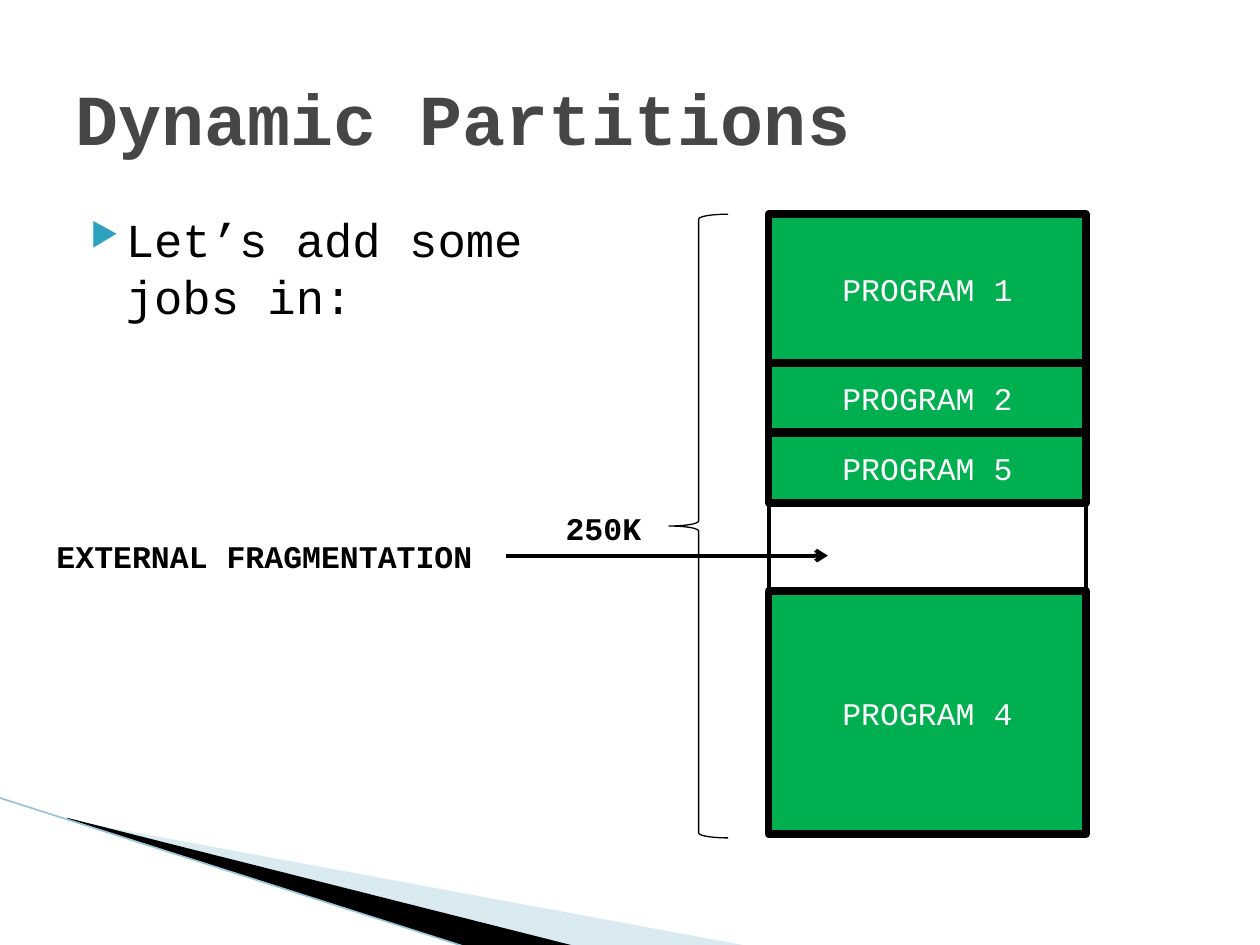
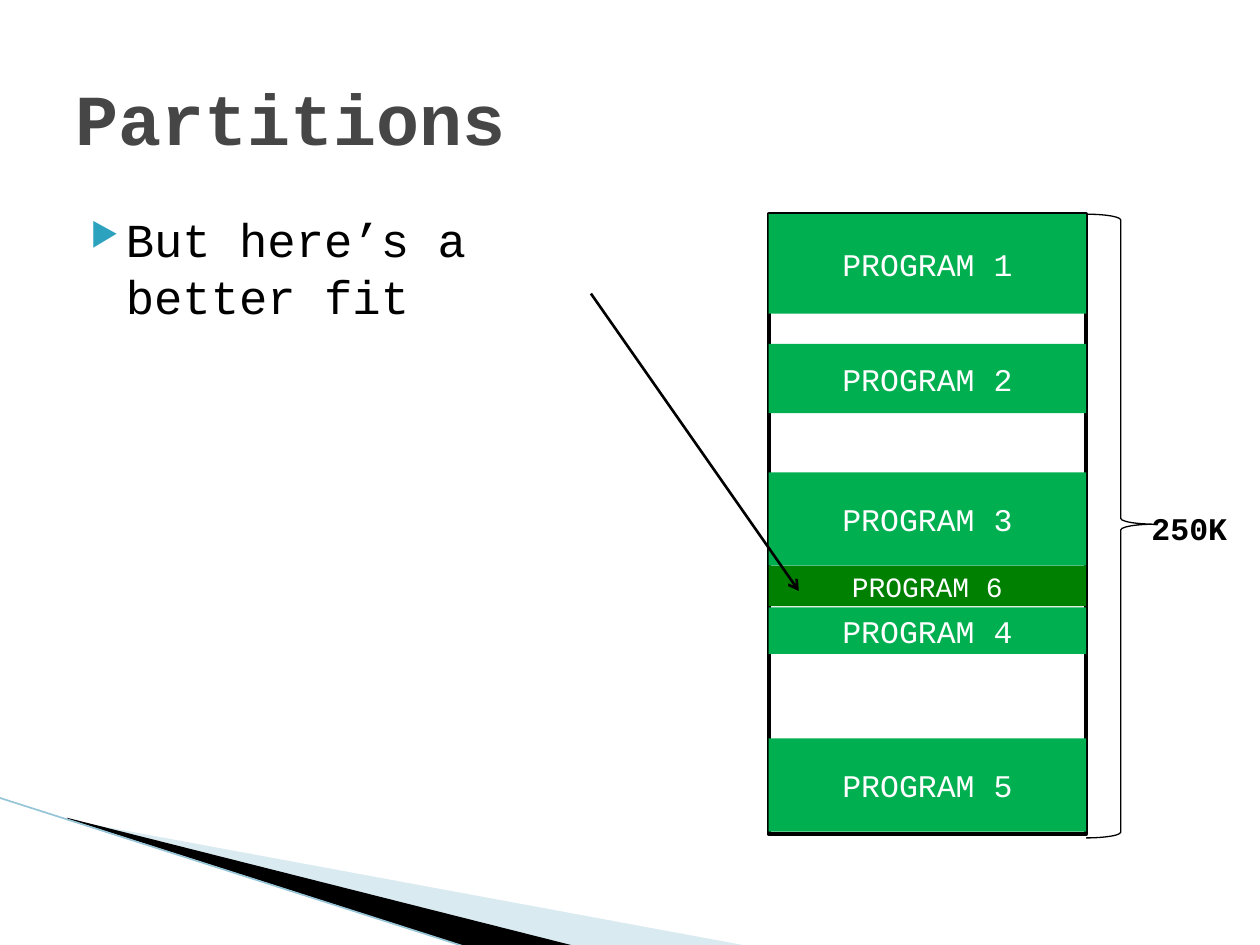
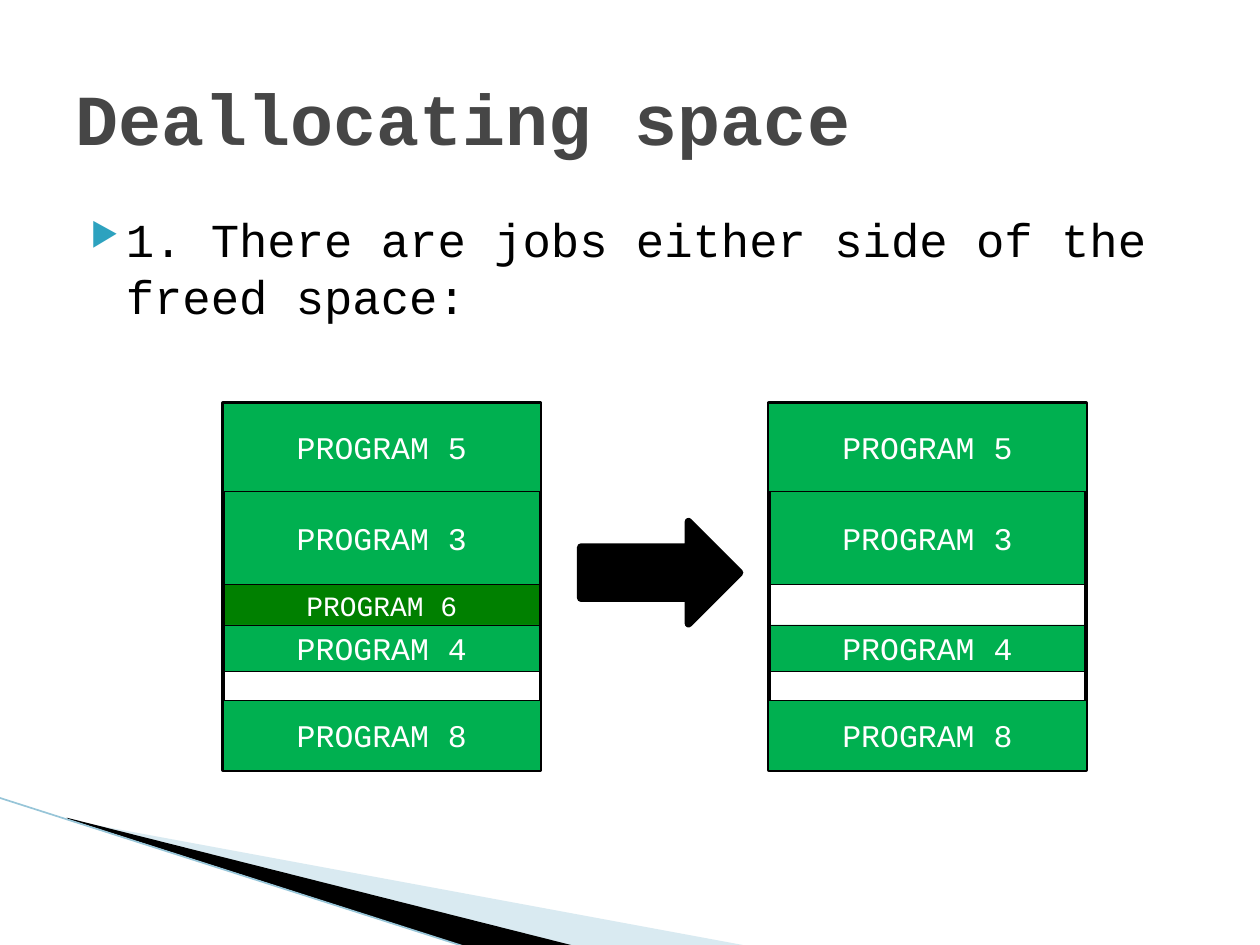
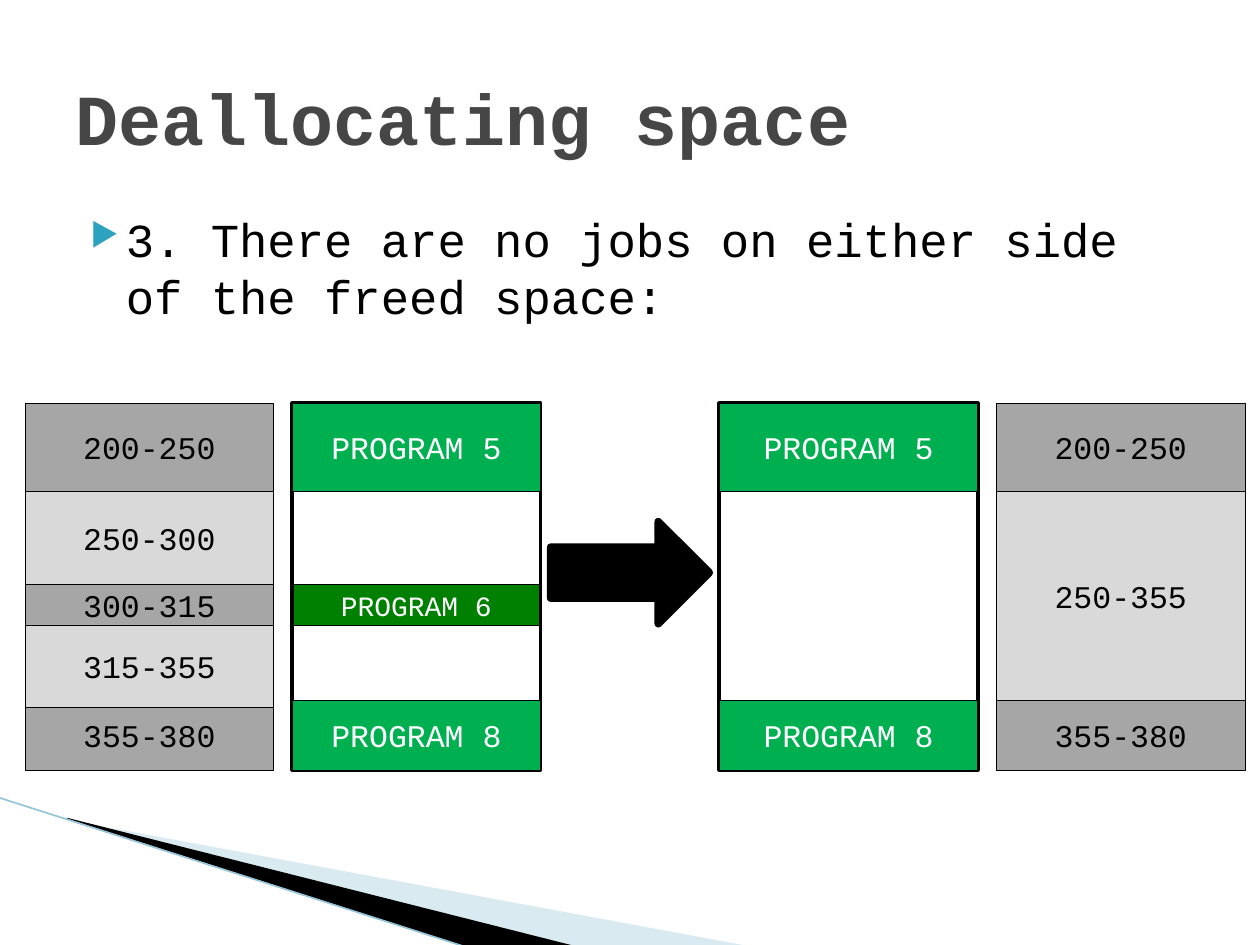
from dataclasses import dataclass

from lxml import etree
from pptx import Presentation
from pptx import util as u
from pptx.dml import color
from pptx.enum import shapes, text
from pptx.oxml import ns

FONT = "Courier New"
COLORS = {
    "white": "FFFFFF",
    "black": "000000",
    "title": "464646",
    "bullet": "2DA2BF",
    "pale_band": "A0CBDC",
    "band_edge": "97C5D8",
    "job": "00B050",
    "new_job": "008000",
    "used": "A6A6A6",
    "free": "D9D9D9",
}
THICK, FRAME, THIN, HAIR = 4.33, 2.25, 0.75, 0.25
MEMORY_LEFT, MEMORY_WIDTH = 6.1, 2.52
MEMORY_TOP, ZONE_TOP = 1.7, 3.2
MEMORY_HEIGHT, ZONE_HEIGHT = 4.92, 2.91


@dataclass(frozen=True)
class Block:
    label: str
    height: float
    kind: str = "job"
    behind: bool = False


@dataclass(frozen=True)
class Stack:
    left: float
    top: float
    width: float
    blocks: tuple[Block, ...]
    border: float = 0
    frame_height: float = 0


def gap(height: float) -> Block:
    return Block("", height)


def rgb(name: str) -> color.RGBColor:
    return color.RGBColor.from_string(COLORS[name])


def add_xml(parent, tag: str, **attributes: str):
    return etree.SubElement(parent, ns.qn(tag), attributes)


def paint(shape, fill: str = "", line: str = "", width: float = 0) -> None:
    shape.shadow.inherit = False
    if fill:
        shape.fill.solid()
        shape.fill.fore_color.rgb = rgb(fill)
    else:
        shape.fill.background()
    if line and width:
        shape.line.color.rgb = rgb(line)
        shape.line.width = u.Pt(width)
    else:
        shape.line.fill.background()


def write(frame, words: str, *, size: float = 18, ink: str = "black", bold: bool = False,
          align=text.PP_ALIGN.LEFT, anchor=text.MSO_ANCHOR.TOP, wrap: bool = True):
    frame.word_wrap = wrap
    frame.vertical_anchor = anchor
    para = frame.paragraphs[0]
    para.alignment = align
    span = para.add_run()
    span.text = words
    span.font.name = FONT
    span.font.size = u.Pt(size)
    span.font.bold = bold
    span.font.color.rgb = rgb(ink)
    return para


def add_text(page, words: str, left: float, top: float, width: float, height: float, **style):
    box = page.shapes.add_textbox(*map(u.Inches, (left, top, width, height)))
    return box, write(box.text_frame, words, **style)


def add_label(page, words: str, left: float, top: float, width: float) -> None:
    box, _ = add_text(page, words, left, top, width, 0.4, bold=True, wrap=False)
    box.text_frame.auto_size = text.MSO_AUTO_SIZE.SHAPE_TO_FIT_TEXT


def add_preset(page, preset, left: float, top: float, width: float, height: float,
               fill: str = "", line_width: float = 0):
    shape = page.shapes.add_shape(preset, *map(u.Inches, (left, top, width, height)))
    paint(shape, fill, "black", line_width)
    return shape


def add_line(page, start: tuple[float, float], end: tuple[float, float],
             ink: str, width: float, arrow: bool = False) -> None:
    line = page.shapes.add_connector(shapes.MSO_CONNECTOR.STRAIGHT, *map(u.Inches, start + end))
    line.line.color.rgb = rgb(ink)
    line.line.width = u.Pt(width)
    if arrow:
        add_xml(line.line._get_or_add_ln(), "a:tailEnd", type="arrow")
    add_xml(line.element.spPr, "a:effectLst")


def add_band(page, points: list[tuple[float, float]], fill: str, opacity: int = 100) -> None:
    corners = [(u.Inches(x), u.Inches(y)) for x, y in points]
    builder = page.shapes.build_freeform(*corners[0], scale=1.0)
    builder.add_line_segments(corners[1:], close=True)
    band = builder.convert_to_shape()
    paint(band, fill)
    if opacity < 100:
        tone = band.element.spPr.find(".//" + ns.qn("a:srgbClr"))
        add_xml(tone, "a:alpha", val=str(opacity * 1000))


def add_bullet(para) -> None:
    para.space_before = u.Pt(4)
    props = para._p.get_or_add_pPr()
    props.set("marL", str(u.Inches(0.4)))
    props.set("indent", str(u.Inches(-0.28)))
    tone = add_xml(props, "a:buClr")
    add_xml(tone, "a:srgbClr", val=COLORS["bullet"])
    add_xml(props, "a:buSzPct", val="68000")
    add_xml(props, "a:buChar", char="▶")


def add_page(deck, title: str, body: str, body_width: float = 9):
    page = deck.slides.add_slide(deck.slide_layouts[6])
    page.background.fill.solid()
    page.background.fill.fore_color.rgb = rgb("white")
    add_band(page, [(0.55, 6.51), (5.95, 7.51), (4.56, 7.51), (0.55, 6.5)], "pale_band", 40)
    add_band(page, [(0.53, 6.49), (4.57, 7.51), (3.72, 7.52), (0.54, 6.5)], "black")
    add_line(page, (-0.01, 6.33), (3.71, 7.52), "band_edge", 0.95)
    _, para = add_text(page, body, 0.5, 1.62, body_width, 4.95, size=27)
    add_bullet(para)
    add_text(page, title, 0.5, 0.3, 9, 1.25, size=41, ink="title", bold=True,
             anchor=text.MSO_ANCHOR.MIDDLE)
    return page


def add_stack(page, stack: Stack) -> None:
    placed = []
    top = stack.top
    for block in stack.blocks:
        if block.label:
            placed.append((block, top))
        top += block.height

    def draw(behind: bool) -> None:
        for block, block_top in placed:
            if block.behind == behind:
                shape = add_preset(page, shapes.MSO_SHAPE.RECTANGLE, stack.left, block_top,
                                   stack.width, block.height, block.kind, stack.border)
                write(shape.text_frame, block.label,
                      size=16 if block.kind == "new_job" else 18,
                      ink="white" if block.kind in ("job", "new_job") else "black",
                      align=text.PP_ALIGN.CENTER, anchor=text.MSO_ANCHOR.MIDDLE)

    draw(behind=True)
    if stack.frame_height:
        add_preset(page, shapes.MSO_SHAPE.RECTANGLE, stack.left, stack.top,
                   stack.width, stack.frame_height, line_width=FRAME)
    draw(behind=False)


def add_memory(page, blocks: tuple[Block, ...], border: float = 0) -> None:
    add_stack(page, Stack(MEMORY_LEFT, MEMORY_TOP, MEMORY_WIDTH, blocks, border, MEMORY_HEIGHT))


def add_zone(page, left: float, width: float, blocks: tuple[Block, ...],
             framed: bool = True) -> None:
    add_stack(page, Stack(left, ZONE_TOP, width, blocks, HAIR, ZONE_HEIGHT if framed else 0))


def add_brace(page, left: float, width: float):
    return add_preset(page, shapes.MSO_SHAPE.LEFT_BRACE, left, MEMORY_TOP, width, 4.95,
                      line_width=THIN)


def add_block_arrow(page, left: float) -> None:
    add_preset(page, shapes.MSO_SHAPE.RIGHT_ARROW, left, 4.14, 1.26, 0.81, "black", THICK)


def build_dynamic(deck) -> None:
    page = add_page(deck, "Dynamic Partitions", "Let’s add some jobs in:", 4.5)
    add_memory(page, (
        Block("PROGRAM 1", 1.18), Block("PROGRAM 2", 0.55), gap(0.01),
        Block("PROGRAM 5", 0.55), gap(0.7), Block("PROGRAM 4", 1.93),
    ), THICK)
    add_brace(page, 5.31, 0.47)
    add_label(page, "250K", 4.39, 3.99, 0.85)
    add_label(page, "EXTERNAL FRAGMENTATION", 0.35, 4.21, 3.67)
    add_line(page, (4.02, 4.41), (6.57, 4.41), "black", 2.25, arrow=True)


def build_better_fit(deck) -> None:
    page = add_page(deck, "Partitions", "But here’s a better fit", 4.5)
    add_memory(page, (
        Block("PROGRAM 1", 0.79), gap(0.24), Block("PROGRAM 2", 0.55), gap(0.47),
        Block("PROGRAM 3", 0.74), Block("PROGRAM 6", 0.32, "new_job"), gap(0.01),
        Block("PROGRAM 4", 0.37), gap(0.67), Block("PROGRAM 5", 0.74),
    ))
    brace = add_brace(page, 8.62, 0.55)
    brace.adjustments[1] = 0.497
    brace.element.spPr.xfrm.set("flipH", "1")
    add_label(page, "250K", 9.04, 3.99, 0.85)
    add_line(page, (4.69, 2.33), (6.34, 4.69), "black", 1.5, arrow=True)


def build_jobs_beside(deck) -> None:
    page = add_page(deck, "Deallocating space",
                    "1. There are jobs either side of the freed space:")
    freed = Block("PROGRAM 6", 0.32, "new_job", behind=True)
    for left, middle in ((1.77, freed), (MEMORY_LEFT, gap(0.32))):
        add_zone(page, left, MEMORY_WIDTH, (
            Block("PROGRAM 5", 0.7), Block("PROGRAM 3", 0.74, behind=True), middle,
            Block("PROGRAM 4", 0.37, behind=True), gap(0.23), Block("PROGRAM 8", 0.55),
        ))
    add_block_arrow(page, 4.61)


def build_no_jobs_beside(deck) -> None:
    page = add_page(deck, "Deallocating space",
                    "3. There are no jobs on either side of the freed space:")
    first, last = Block("PROGRAM 5", 0.7), Block("PROGRAM 8", 0.55)
    freed = Block("PROGRAM 6", 0.32, "new_job", behind=True)
    add_zone(page, 2.32, 1.97, (first, gap(0.74), freed, gap(0.6), last))
    add_zone(page, 5.71, 2.05, (first, gap(1.66), last))
    add_block_arrow(page, 4.37)
    low = Block("200-250", 0.7, "used")
    high = Block("355-380", 0.55, "used", behind=True)
    add_zone(page, 0.2, 1.97, (
        low, Block("250-300", 0.74, "free"), Block("300-315", 0.32, "used"),
        Block("315-355", 0.65, "free"), gap(-0.05), high,
    ), framed=False)
    add_zone(page, 7.91, 1.97, (low, Block("250-355", 1.66, "free"), high), framed=False)


def main() -> None:
    deck = Presentation()
    deck.slide_width = u.Inches(10)
    deck.slide_height = u.Inches(7.5)
    for build in (build_dynamic, build_better_fit, build_jobs_beside, build_no_jobs_beside):
        build(deck)
    deck.save("out.pptx")


if __name__ == "__main__":
    main()
